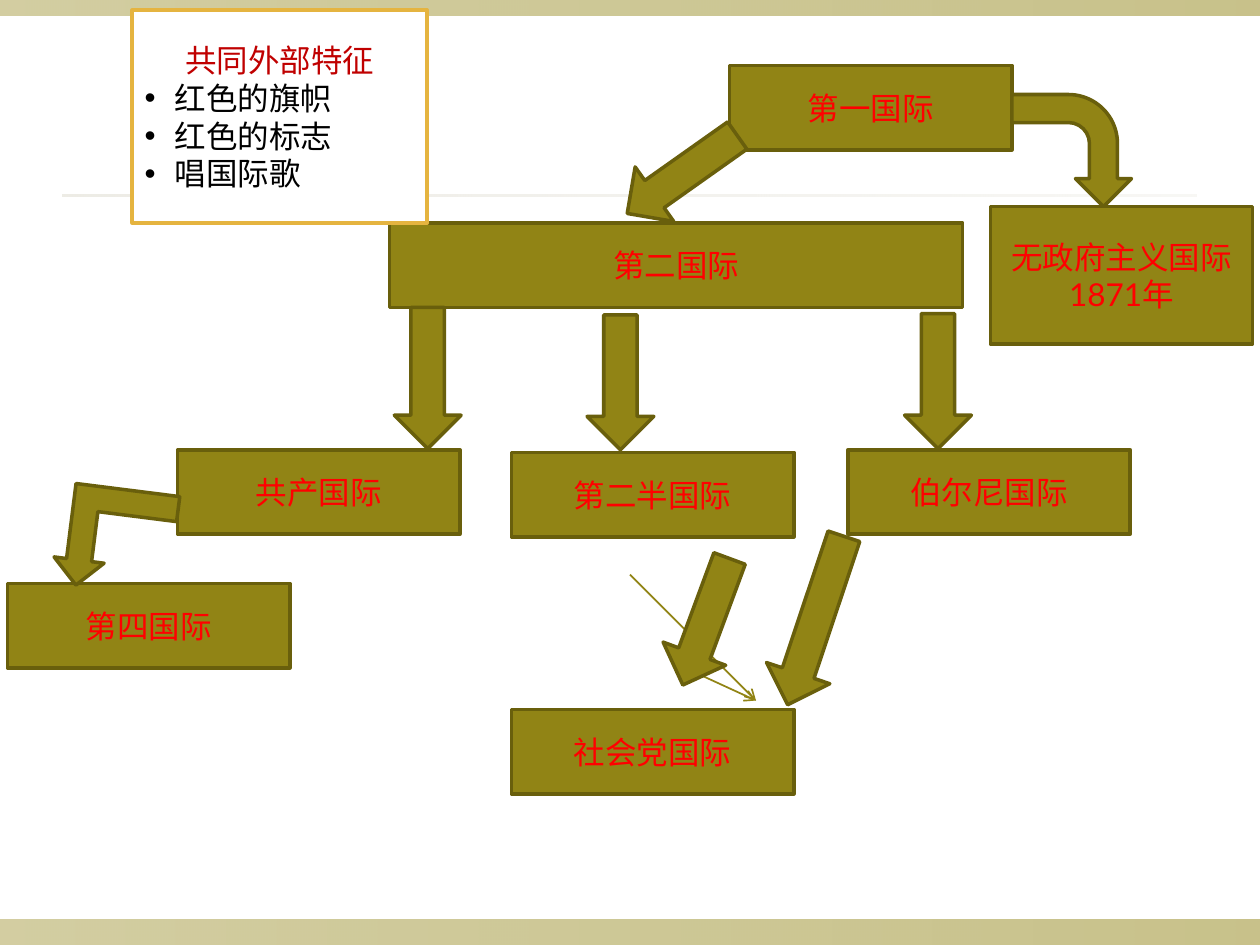
import pptx
import pptx.dml.color
import pptx.enum.shapes
import pptx.enum.text
import pptx.oxml
import pptx.oxml.ns
import pptx.util

Inches = pptx.util.Inches
Pt = pptx.util.Pt
KIND = pptx.enum.shapes.MSO_SHAPE
ALIGN = pptx.enum.text.PP_ALIGN
NS = pptx.oxml.ns.nsdecls("a")
qn = pptx.oxml.ns.qn

OLIVE, EDGE, RED = "918415", "695F0C", "FF0000"
BOX = (2.24, 0.67)


def tint(code):
    return pptx.dml.color.RGBColor.from_string(code)


def node(xml):
    """Make a drawing element from a tag and its attributes."""
    return pptx.oxml.parse_xml(f"<a:{xml} {NS}/>")


def write(para, text, size=18, color=RED, align=ALIGN.CENTER, bullet=None):
    para.text = text
    para.alignment = align
    if bullet:
        props = para._p.get_or_add_pPr()
        props.set("marL", str(Inches(0.24)))
        props.set("indent", str(-Inches(0.24)))
        props.append(node('buFont typeface="Arial"'))
        props.append(node(f'buChar char="{bullet}"'))
    for run in para.runs:
        run.font.size = Pt(size)
        run.font.name = "Lato"
        run.font.color.rgb = tint(color)


class Chart:
    """Holds the style and the current slide."""

    def __init__(self, slide):
        self.slide = slide
        self.shapes = slide.shapes

    def shape(self, kind, x, y, w, h, fill=OLIVE, line=EDGE, turn=0):
        item = self.shapes.add_shape(kind, Inches(x), Inches(y), Inches(w), Inches(h))
        item.shadow.inherit = False
        item.fill.solid()
        item.fill.fore_color.rgb = tint(fill)
        item.line.color.rgb = tint(line)
        item.line.width = Pt(2)
        item.rotation = turn
        return item

    def band(self, y, w, h, color, alphas, x=0):
        """Draw a strip that fades from left to right."""
        item = self.shape(KIND.RECTANGLE, x, y, w, h)
        item.line.fill.background()
        item.fill.gradient()
        item.fill.gradient_angle = 0
        for stop, place in zip(item.fill.gradient_stops, (0, 1)):
            stop.color.rgb = tint(color)
            stop.position = place
        grad = item._element.spPr.find(qn("a:gradFill"))
        for mark, alpha in zip(grad.iter(qn("a:srgbClr")), alphas):
            mark.append(node(f'alpha val="{alpha * 1000}"'))

    def box(self, text, x, y, w=BOX[0], h=BOX[1], **look):
        item = self.shape(KIND.FLOWCHART_PROCESS, x, y, w, h, **look)
        frame = item.text_frame
        frame.word_wrap = True
        frame.vertical_anchor = pptx.enum.text.MSO_ANCHOR.MIDDLE
        write(frame.paragraphs[0], text)
        return frame

    def notes(self, title, items, x, y, w, h):
        """Draw a framed bullet list under a centred title."""
        frame = self.box(title, x, y, w, h, fill="FFFFFF", line="E5B440")
        write(frame.paragraphs[0], title, color="C00000")
        for text in items:
            write(frame.add_paragraph(), text, color="000000",
                  align=ALIGN.LEFT, bullet="•")

    def down(self, x, y, h=1.07, turn=0):
        self.shape(KIND.DOWN_ARROW, x, y, 0.53, h, turn=turn)

    def line(self, x, y, to_x, to_y):
        item = self.shapes.add_connector(
            pptx.enum.shapes.MSO_CONNECTOR.STRAIGHT,
            Inches(x), Inches(y), Inches(to_x), Inches(to_y))
        item.line.color.rgb = tint(OLIVE)
        item.line.width = Pt(1)
        item.line._get_or_add_ln().append(node('tailEnd type="arrow"'))
        item._element.spPr.append(node("effectLst"))


def main():
    deck = pptx.Presentation()
    deck.slide_width, deck.slide_height = Inches(10), Inches(7.5)
    art = Chart(deck.slides.add_slide(deck.slide_layouts[6]))

    art.band(7.3, 10, 0.2, OLIVE, (40, 50))
    art.band(0, 10, 0.12, OLIVE, (40, 50))
    art.band(1.54, 9, 0.02, "DCD9CC", (50, 20), x=0.5)

    art.box("第一国际", 5.79, 0.52)
    art.box("第二国际", 3.09, 1.77, w=4.55)
    art.box("共产国际", 1.41, 3.57)
    art.box("社会党国际", 4.06, 5.63)
    art.box("第四国际", 0.06, 4.63)
    art.shape(KIND.LEFT_ARROW, 4.88, 1.12, 1.07, 0.53, turn=324.7)
    art.down(3.13, 2.44, h=1.12)
    art.line(5, 4.56, 6, 5.56)
    art.line(5.5, 5.33, 6, 5.56)
    art.notes("共同外部特征", ("红色的旗帜", "红色的标志", "唱国际歌"),
              1.05, 0.08, 2.34, 1.69)

    art.down(4.66, 2.5)
    art.box("伯尔尼国际", 6.73, 3.57)
    art.down(7.18, 2.49)
    art.box("第二半国际", 4.06, 3.59)
    art.down(5.34, 4.4, turn=20.3)
    art.down(6.21, 4.22, h=1.41, turn=18.5)
    art.box("无政府主义国际\n1871年", 7.86, 1.64, w=2.08, h=1.09)
    art.shape(KIND.BENT_ARROW, 8.06, 0.72, 0.89, 0.95, turn=90)
    art.shape(KIND.BENT_UP_ARROW, 0.45, 3.88, 0.93, 0.8, turn=187.2)

    deck.save("out.pptx")


if __name__ == "__main__":
    main()
